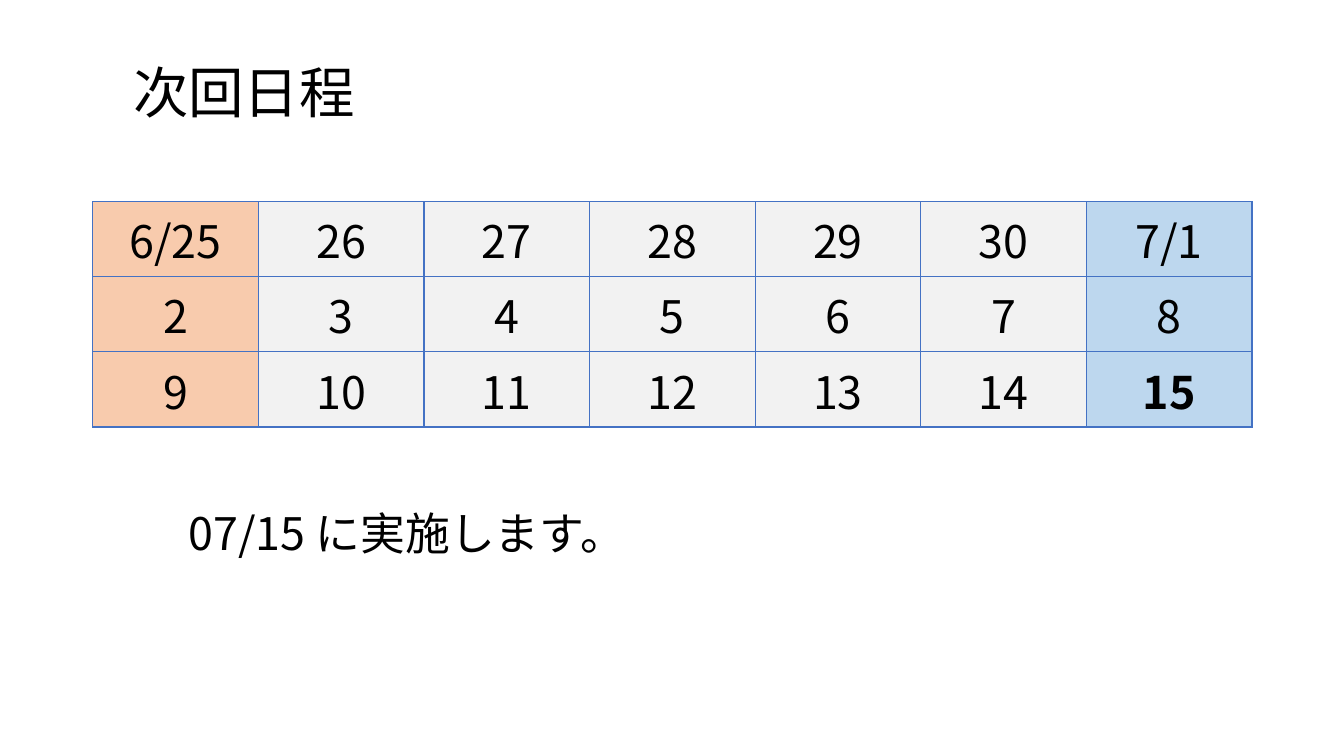
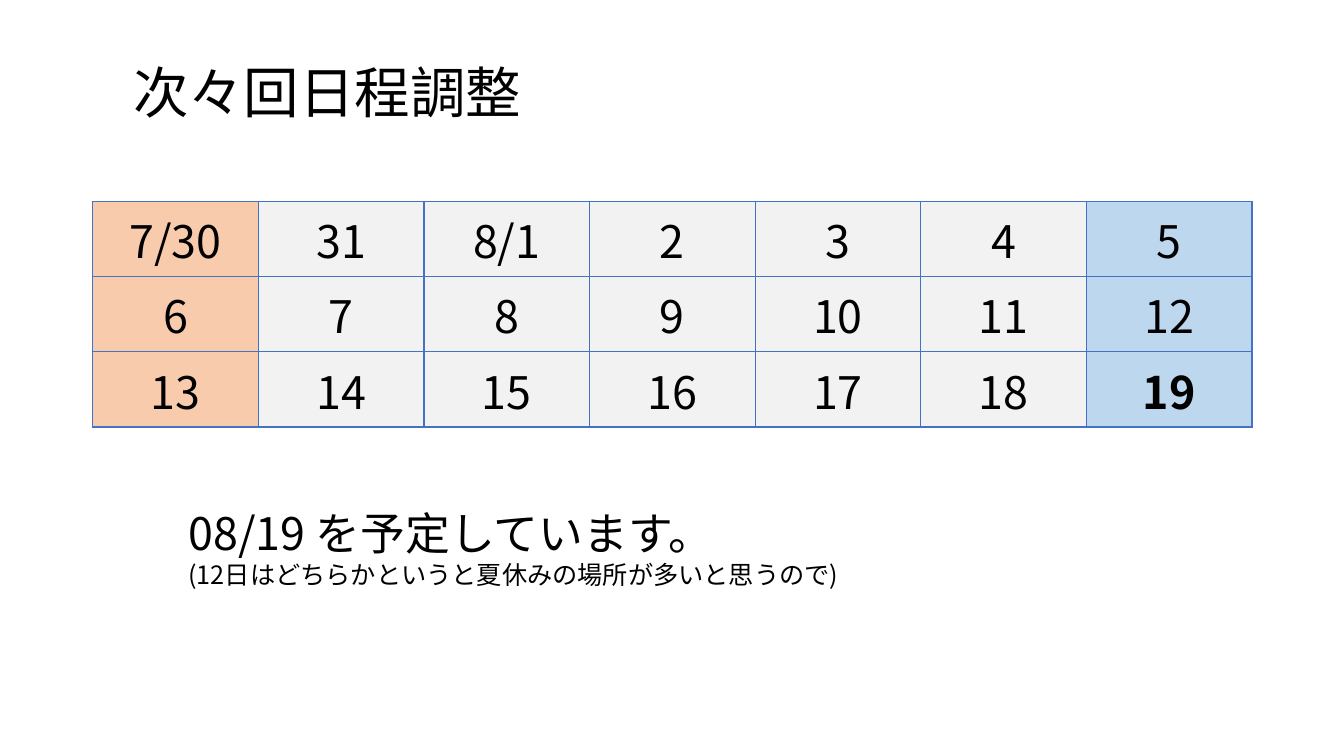
"""Build two schedule slides, each with a three-week calendar and a note."""
from lxml.etree import SubElement
from pptx import Presentation
from pptx.dml.color import RGBColor
from pptx.enum.text import MSO_ANCHOR, MSO_AUTO_SIZE, PP_ALIGN
from pptx.oxml import parse_xml
from pptx.oxml.ns import nsdecls, qn
from pptx.util import Inches, Pt

SLIDE_WIDTH, SLIDE_HEIGHT = Inches(13.33), Inches(7.5)
FONT = "Noto Sans CJK JP"
TITLE_SIZE, BODY_SIZE, REMARK_SIZE = 39.6, 32, 18
BLACK = RGBColor(0x00, 0x00, 0x00)
SUNDAY = RGBColor(0xF8, 0xCB, 0xAD)
WEEKDAY = RGBColor(0xF2, 0xF2, 0xF2)
SATURDAY = RGBColor(0xBD, 0xD7, 0xEE)
GRID_LINE = RGBColor(0x44, 0x72, 0xC4)
DAY_FILLS = [SUNDAY] + [WEEKDAY] * 5 + [SATURDAY]

SCHEDULES = [
    {
        "title": "次回日程",
        "weeks": ["6/25 26 27 28 29 30 7/1", "2 3 4 5 6 7 8", "9 10 11 12 13 14 15"],
        "meeting": "15",
        "notes": [("07/15 に実施します。", BODY_SIZE)],
        "notes_height": 8.53,
    },
    {
        "title": "次々回日程調整",
        "weeks": ["7/30 31 8/1 2 3 4 5", "6 7 8 9 10 11 12", "13 14 15 16 17 18 19"],
        "meeting": "19",
        "notes": [
            ("08/19 を予定しています。", BODY_SIZE),
            ("(12日はどちらかというと夏休みの場所が多いと思うので)", REMARK_SIZE),
        ],
        "notes_height": 12.53,
    },
]


def area(left, top, width, height):
    """Turn percentages of the slide's size into a position and size."""
    return (
        int(SLIDE_WIDTH * left / 100),
        int(SLIDE_HEIGHT * top / 100),
        int(SLIDE_WIDTH * width / 100),
        int(SLIDE_HEIGHT * height / 100),
    )


def add_run(paragraph, text, size, bold=False):
    """Add a black run in the shared Latin and East Asian font."""
    run = paragraph.add_run()
    run.text = text
    run.font.size = Pt(size)
    run.font.bold = bold
    run.font.color.rgb = BLACK
    run.font.name = FONT
    SubElement(run.font._element, qn("a:ea")).set("typeface", FONT)


def set_title(slide, text):
    """Place and fill the title placeholder."""
    title = slide.shapes.title
    title.left, title.top, title.width, title.height = area(9.15, 8, 83.4, 9.2)
    frame = title.text_frame
    frame.auto_size = MSO_AUTO_SIZE.NONE
    frame.vertical_anchor = MSO_ANCHOR.MIDDLE
    heading = frame.paragraphs[0]
    heading.alignment = PP_ALIGN.LEFT
    heading.line_spacing = 0.9
    add_run(heading, text, TITLE_SIZE)


def set_borders(cell):
    """Draw a one-point line on all four sides of a cell."""
    properties = cell._tc.get_or_add_tcPr()
    for order, side in enumerate(("lnL", "lnR", "lnT", "lnB")):
        properties.insert(order, parse_xml(
            f'<a:{side} {nsdecls("a")} w="{Pt(1)}"><a:solidFill>'
            f'<a:srgbClr val="{GRID_LINE}"/></a:solidFill></a:{side}>'
        ))


def fill_day(cell, day, color, bold):
    """Show one day in its weekday's colour."""
    cell.fill.solid()
    cell.fill.fore_color.rgb = color
    set_borders(cell)
    cell.vertical_anchor = MSO_ANCHOR.MIDDLE
    label = cell.text_frame.paragraphs[0]
    label.alignment = PP_ALIGN.CENTER
    add_run(label, day, BODY_SIZE, bold)


def add_calendar(slide, weeks, meeting):
    """Add the weeks as a table, with the last week's meeting day in bold."""
    calendar = slide.shapes.add_table(
        len(weeks), len(DAY_FILLS), *area(6.9, 26.67, 86.27, 28)
    ).table
    calendar.first_row = False
    calendar.horz_banding = False
    for row, week in enumerate(weeks):
        last_week = row == len(weeks) - 1
        for column, (day, color) in enumerate(zip(week.split(), DAY_FILLS)):
            fill_day(calendar.cell(row, column), day, color, last_week and day == meeting)


def add_notes_box(slide, notes, height):
    """Add the announcement below the calendar, one paragraph per note."""
    frame = slide.shapes.add_textbox(*area(13.28, 66.27, 76.3, height)).text_frame
    frame.word_wrap = True
    frame.auto_size = MSO_AUTO_SIZE.SHAPE_TO_FIT_TEXT
    for index, (text, size) in enumerate(notes):
        paragraph = frame.add_paragraph() if index else frame.paragraphs[0]
        add_run(paragraph, text, size)


def main():
    """Build and save the presentation."""
    presentation = Presentation()
    presentation.slide_width, presentation.slide_height = SLIDE_WIDTH, SLIDE_HEIGHT
    title_only = presentation.slide_layouts.get_by_name("Title Only")
    for schedule in SCHEDULES:
        slide = presentation.slides.add_slide(title_only)
        set_title(slide, schedule["title"])
        add_calendar(slide, schedule["weeks"], schedule["meeting"])
        add_notes_box(slide, schedule["notes"], schedule["notes_height"])
    presentation.save("out.pptx")


main()
